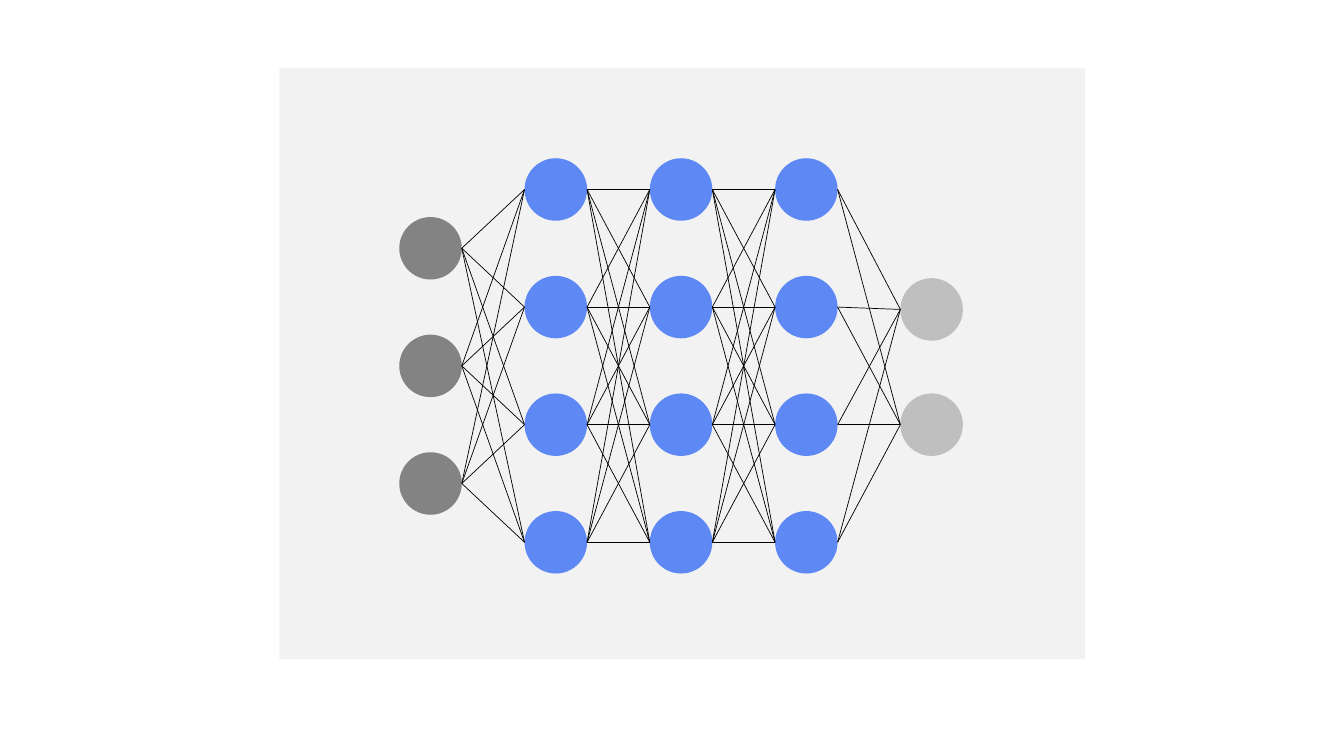
from itertools import pairwise, product

from lxml.etree import SubElement
from pptx import Presentation
from pptx.dml.color import RGBColor
from pptx.enum.shapes import MSO_CONNECTOR, MSO_SHAPE
from pptx.oxml.ns import qn
from pptx.util import Inches, Pt

LAYERS = [
    ("838383", [0.5, 1.5, 2.5]),
    ("5E89F4", [0, 1, 2, 3]),
    ("5E89F4", [0, 1, 2, 3]),
    ("5E89F4", [0, 1, 2, 3]),
    ("BFBFBF", [1.02, 2]),
]


def color(value):
    return RGBColor.from_string(value)


class NetworkSlide:
    """Draws a neural network on a grid of layer columns and node rows."""

    left, top = 3.96, 1.57
    column_step = (8.93 - 3.96) / 4
    row_step = (5.07 - 1.57) / 3
    diameter = 0.62
    line_color, line_width = "000000", 0.5

    def __init__(self, slide):
        self.slide = slide

    def position(self, column, row):
        return self.left + column * self.column_step, self.top + row * self.row_step

    def shape(self, kind, left, top, width, height, fill):
        shape = self.slide.shapes.add_shape(
            kind, Inches(left), Inches(top), Inches(width), Inches(height)
        )
        shape.shadow.inherit = False
        shape.fill.solid()
        shape.fill.fore_color.rgb = color(fill)
        shape.line.fill.background()

    def panel(self, left, top, width, height, fill):
        self.shape(MSO_SHAPE.RECTANGLE, left, top, width, height, fill)

    def node(self, column, row, fill):
        left, top = self.position(column, row)
        self.shape(MSO_SHAPE.OVAL, left, top, self.diameter, self.diameter, fill)

    def link(self, column, start_row, end_row):
        start_left, start_top = self.position(column, start_row)
        end_left, end_top = self.position(column + 1, end_row)
        radius = self.diameter / 2
        connector = self.slide.shapes.add_connector(
            MSO_CONNECTOR.STRAIGHT,
            Inches(start_left + self.diameter),
            Inches(start_top + radius),
            Inches(end_left),
            Inches(end_top + radius),
        )
        connector.line.color.rgb = color(self.line_color)
        connector.line.width = Pt(self.line_width)
        SubElement(connector._element.spPr, qn("a:effectLst"))


def main():
    presentation = Presentation()
    presentation.slide_width = Inches(13.33)
    presentation.slide_height = Inches(7.5)
    network = NetworkSlide(presentation.slides.add_slide(presentation.slide_layouts[6]))

    network.panel(2.77, 0.68, 7.99, 5.86, "F2F2F2")
    for column, (fill, rows) in enumerate(LAYERS):
        for row in rows:
            network.node(column, row, fill)
    for column, ((_, starts), (_, ends)) in enumerate(pairwise(LAYERS)):
        for start_row, end_row in product(starts, ends):
            network.link(column, start_row, end_row)

    presentation.save("out.pptx")


if __name__ == "__main__":
    main()
